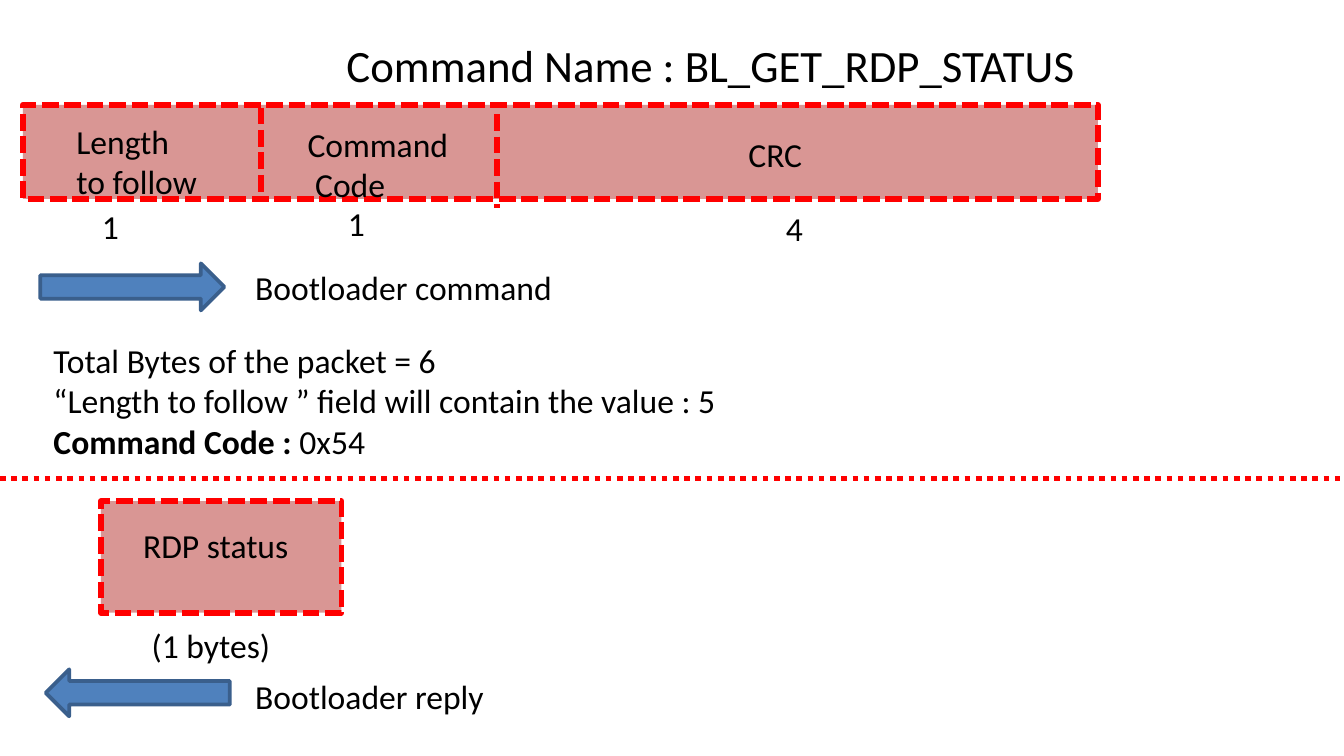
from lxml import etree
from pptx import Presentation
from pptx.dml.color import RGBColor
from pptx.enum import dml, shapes, text
from pptx.oxml import ns
from pptx.util import Inches, Pt

BLACK = RGBColor(0x00, 0x00, 0x00)
RED = RGBColor(0xFF, 0x00, 0x00)
PINK = RGBColor(0xD9, 0x96, 0x94)
BLUE = RGBColor(0x4F, 0x81, 0xBD)
DARK_BLUE = RGBColor(0x3A, 0x5F, 0x8C)
DASH = dml.MSO_LINE.SQUARE_DOT
DOT = dml.MSO_LINE.ROUND_DOT


def style_line(line, color, width, dash=None):
    line.color.rgb = color
    line.width = Pt(width)
    if dash is not None:
        line.dash_style = dash
        preset = line._ln.find(ns.qn("a:prstDash"))
        preset.set("val", "sysDash" if dash == DASH else "sysDot")


def add_block(tree, kind, box, fill, color, width, dash=None):
    sp = tree.add_shape(kind, *map(Inches, box))
    sp.shadow.inherit = False
    sp.fill.solid()
    sp.fill.fore_color.rgb = fill
    style_line(sp.line, color, width, dash)
    return sp


def add_field(tree, box):
    return add_block(tree, shapes.MSO_SHAPE.RECTANGLE, box, PINK, RED, 3, DASH)


def add_arrow(tree, left, top, rotation=0):
    sp = add_block(tree, shapes.MSO_SHAPE.RIGHT_ARROW,
                   (left, top, 1.37, 0.35), BLUE, DARK_BLUE, 2)
    sp.rotation = rotation


def add_rule(tree, x1, y1, x2, y2, dash):
    rule = tree.add_connector(shapes.MSO_CONNECTOR.STRAIGHT,
                              *map(Inches, (x1, y1, x2, y2)))
    style_line(rule.line, RED, 3, dash)
    etree.SubElement(rule._element.spPr, ns.qn("a:effectLst"))


def add_label(tree, box, paragraphs, size=18, align=text.PP_ALIGN.LEFT, wrap=False):
    tf = tree.add_textbox(*map(Inches, box)).text_frame
    tf.word_wrap = wrap
    for i, runs in enumerate(paragraphs):
        p = tf.add_paragraph() if i else tf.paragraphs[0]
        p.alignment = align
        for words, bold in runs:
            r = p.add_run()
            r.text = words
            r.font.name = "Calibri"
            r.font.size = Pt(size)
            r.font.bold = bold
            r.font.color.rgb = BLACK


def plain(*lines):
    return [[(line, False)] for line in lines]


def add_packet(s):
    tree = s.shapes.add_group_shape().shapes
    add_field(tree, (0.17, 0.78, 8, 0.7))
    for x, y in ((1.94, 0.8), (3.7, 0.85)):
        add_rule(tree, x, y, x, y + 0.7, DASH)
    add_label(tree, (0.47, 0.85, 1.12, 0.59), plain("Length ", "to follow"))
    add_label(tree, (2.19, 0.87, 1.27, 0.59), plain("Command", " Code"))
    add_label(tree, (5.47, 0.95, 0.61, 0.34), plain("CRC"))
    for count, x, y in (("1", 0.66, 1.48), ("1", 2.49, 1.46), ("4", 5.75, 1.5)):
        add_label(tree, (x, y, 0.33, 0.34), plain(count))


def add_reply(s):
    center = text.PP_ALIGN.CENTER
    add_field(s.shapes, (0.75, 3.73, 1.79, 0.83))
    add_label(s.shapes, (1.02, 4.6, 1.1, 0.4), plain("(1 bytes)"), align=center)
    add_label(s.shapes, (0.96, 3.86, 1.29, 0.4), plain("RDP status"), align=center)
    add_arrow(s.shapes, 0.34, 4.98, 180)
    add_label(s.shapes, (1.8, 4.98, 1.92, 0.4), plain("Bootloader reply"))


def main():
    """Build the slide describing the BL_GET_RDP_STATUS command and its reply."""
    prs = Presentation()
    prs.slide_width = Inches(10)
    prs.slide_height = prs.slide_width * 9 // 16
    s = prs.slides.add_slide(prs.slide_layouts[6])
    add_packet(s)
    add_label(s.shapes, (2.48, 0.23, 6.26, 0.5),
              plain("Command Name : BL_GET_RDP_STATUS"), size=24, wrap=True)
    add_arrow(s.shapes, 0.3, 1.96)
    add_label(s.shapes, (1.8, 1.94, 2.44, 0.4), plain("Bootloader command"))
    details = plain("Total Bytes of the packet = 6",
                    "“Length to follow ” field will contain the value : 5")
    details.append([("Command Code : ", True), ("0x54", False)])
    add_label(s.shapes, (0.3, 2.48, 5.2, 1.31), details)
    add_reply(s)
    add_rule(s.shapes, 0, 3.56, 10, 3.56, DOT)
    prs.save("out.pptx")


main()
